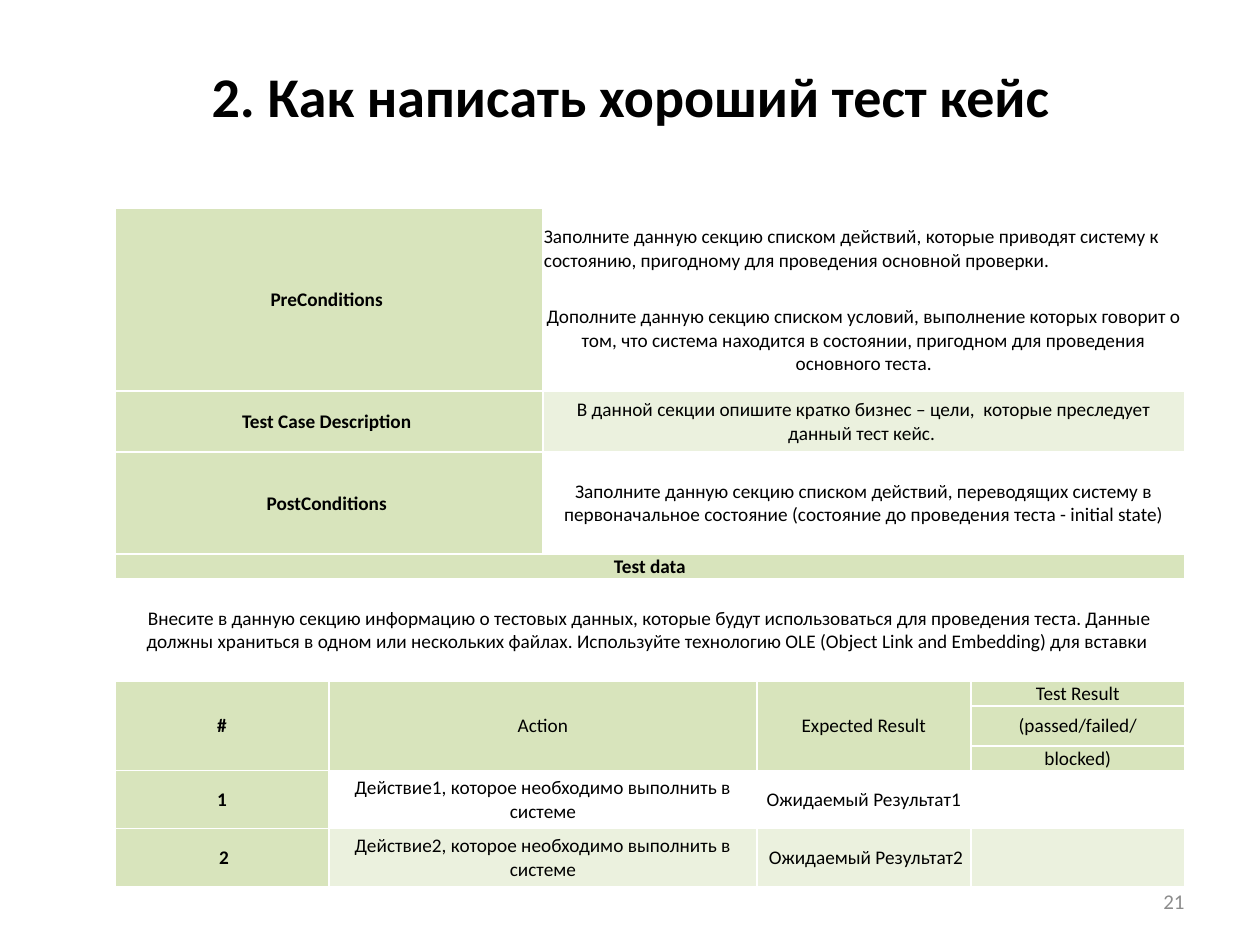
from dataclasses import dataclass

from lxml import etree
from pptx import Presentation
from pptx.dml.color import RGBColor
from pptx.enum.text import MSO_ANCHOR, PP_ALIGN
from pptx.oxml.ns import qn
from pptx.util import Emu, Pt

LEFT, MID, RIGHT = PP_ALIGN.LEFT, PP_ALIGN.CENTER, PP_ALIGN.RIGHT
MIDDLE = MSO_ANCHOR.MIDDLE


@dataclass(frozen=True)
class Theme:
    font: str = "Calibri"
    ink: str = "000000"
    gray: str = "8C8C8C"
    white: str = "FFFFFF"
    green: str = "D8E4BC"
    pale: str = "EBF1DE"
    title: int = 32
    note: int = 12
    body: int = 11
    thin: float = 1
    thick: float = 1.5


@dataclass(frozen=True)
class Cell:
    row: int
    col: int
    text: str
    fill: str
    rows: int = 1
    cols: int = 1
    bold: bool = False
    align: PP_ALIGN = MID


T = Theme()


def px(n: int) -> Emu:
    """Pixels at 126 to the inch."""
    return Emu(round(n * 914400 / 126))


def write(frame, text: str, size: int, color: str, bold: bool, align: PP_ALIGN) -> None:
    frame.text = text
    line = frame.paragraphs[0]
    line.alignment = align
    for font in [line.font] + [run.font for run in line.runs]:
        font.name, font.size, font.bold = T.font, Pt(size), bold
        font.color.rgb = RGBColor.from_string(color)


def edge(cell, thick: tuple[str, ...]) -> None:
    props = cell._tc.get_or_add_tcPr()
    for i, side in enumerate(("lnL", "lnR", "lnT", "lnB")):
        width = T.thick if side in thick else T.thin
        line = etree.Element(qn(f"a:{side}"), w=str(Pt(width)))
        fill = etree.SubElement(line, qn("a:solidFill"))
        etree.SubElement(fill, qn("a:srgbClr"), val=T.white)
        props.insert(i, line)


def place(shape, x: int, y: int, w: int, h: int) -> None:
    shape.left, shape.top, shape.width, shape.height = px(x), px(y), px(w), px(h)


def draw(grid, item: Cell) -> None:
    cell = grid.cell(item.row, item.col)
    end = grid.cell(item.row + item.rows - 1, item.col + item.cols - 1)
    if cell is not end and item.rows * item.cols > 1:
        cell.merge(end)
    write(cell.text_frame, item.text, T.body, T.ink, item.bold, item.align)
    cell.vertical_anchor = MIDDLE
    cell.fill.solid()
    cell.fill.fore_color.rgb = RGBColor.from_string(item.fill)


# Row heights and table content
ROWS = (81, 102, 61, 102, 25, 102, 25, 40, 25, 58, 58)
COLS = (214,) * 5
CELLS = [
    Cell(0, 0, "PreConditions ", T.green, 2, 2, True),
    Cell(0, 2, "Заполните данную секцию списком действий, которые приводят систему к "
         "состоянию, пригодному для проведения основной проверки. ",
         T.white, cols=3, align=LEFT),
    Cell(1, 2, "Дополните данную секцию списком условий, выполнение которых говорит о "
         "том, что система находится в состоянии, пригодном для проведения "
         "основного теста.", T.white, cols=3),
    Cell(2, 0, "Test Case Description ", T.green, cols=2, bold=True),
    Cell(2, 2, "В данной секции опишите кратко бизнес – цели,  которые преследует "
         "данный тест кейс. ", T.pale, cols=3),
    Cell(3, 0, "PostConditions ", T.green, cols=2, bold=True),
    Cell(3, 2, "Заполните данную секцию списком действий, переводящих систему в "
         "первоначальное состояние (состояние до проведения теста - initial state)",
         T.white, cols=3),
    Cell(4, 0, "Test data", T.green, cols=5, bold=True),
    Cell(5, 0, "Внесите в данную секцию информацию о тестовых данных, которые будут "
         "использоваться для проведения теста. Данные должны храниться в одном или "
         "нескольких файлах. Используйте технологию OLE (Object Link and Embedding) "
         "для вставки ", T.white, cols=5),
    Cell(6, 0, "#", T.green, rows=3, bold=True),
    Cell(6, 1, "Action", T.green, 3, 2),
    Cell(6, 3, "Expected Result", T.green, rows=3),
]
CELLS += [Cell(6 + i, 4, text, T.green)
          for i, text in enumerate(("Test Result", "(passed/failed/", "blocked)"))]
for row, mark, pad, fill in ((9, 1, "", T.white), (10, 2, "\u00a0", T.pale)):
    CELLS += [
        Cell(row, 0, f"{pad}{mark}", T.green, bold=True),
        Cell(row, 1, f"Действие{mark}, которое необходимо выполнить в системе", fill, cols=2),
        Cell(row, 3, f"{pad}Ожидаемый Результат{mark}", fill),
        Cell(row, 4, "", fill),
    ]

deck = Presentation()
deck.slide_width, deck.slide_height = px(1260), px(945)
slide = deck.slides.add_slide(deck.slide_layouts[5])

# Title
title = slide.shapes.title
place(title, 64, 16, 1134, 158)
write(title.text_frame, "2. Как написать хороший тест кейс", T.title, T.ink, True, MID)
title.text_frame.vertical_anchor = MIDDLE

# Page number
page = slide.shapes.add_textbox(px(903), px(876), px(294), px(50))
page.text_frame.word_wrap = True
page.text_frame.vertical_anchor = MIDDLE
write(page.text_frame, "21", T.note, T.gray, False, RIGHT)

# Test case table
grid = slide.shapes.add_table(len(ROWS), len(COLS), px(115), px(208),
                              px(sum(COLS)), px(sum(ROWS))).table
for row, high in zip(grid.rows, ROWS):
    row.height = px(high)
for col, wide in zip(grid.columns, COLS):
    col.width = px(wide)
for r in range(len(ROWS)):
    thick = {1: ("lnB",), 2: ("lnT",)}.get(r, ())
    for c in range(len(COLS)):
        cell = grid.cell(r, c)
        cell.margin_left = cell.margin_right = cell.margin_top = px(1)
        cell.margin_bottom = 0
        edge(cell, thick)
for item in CELLS:
    draw(grid, item)

deck.save("out.pptx")
